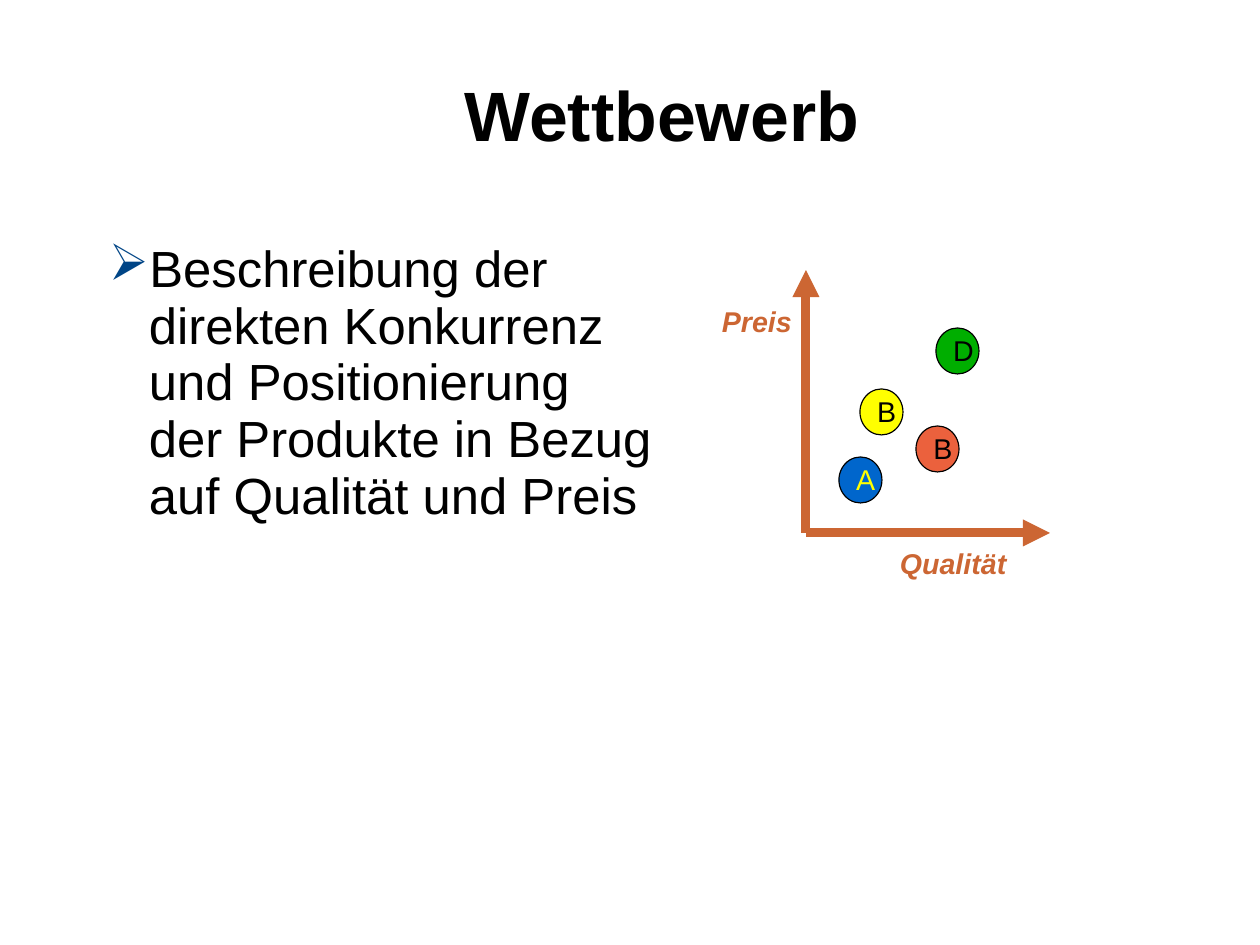
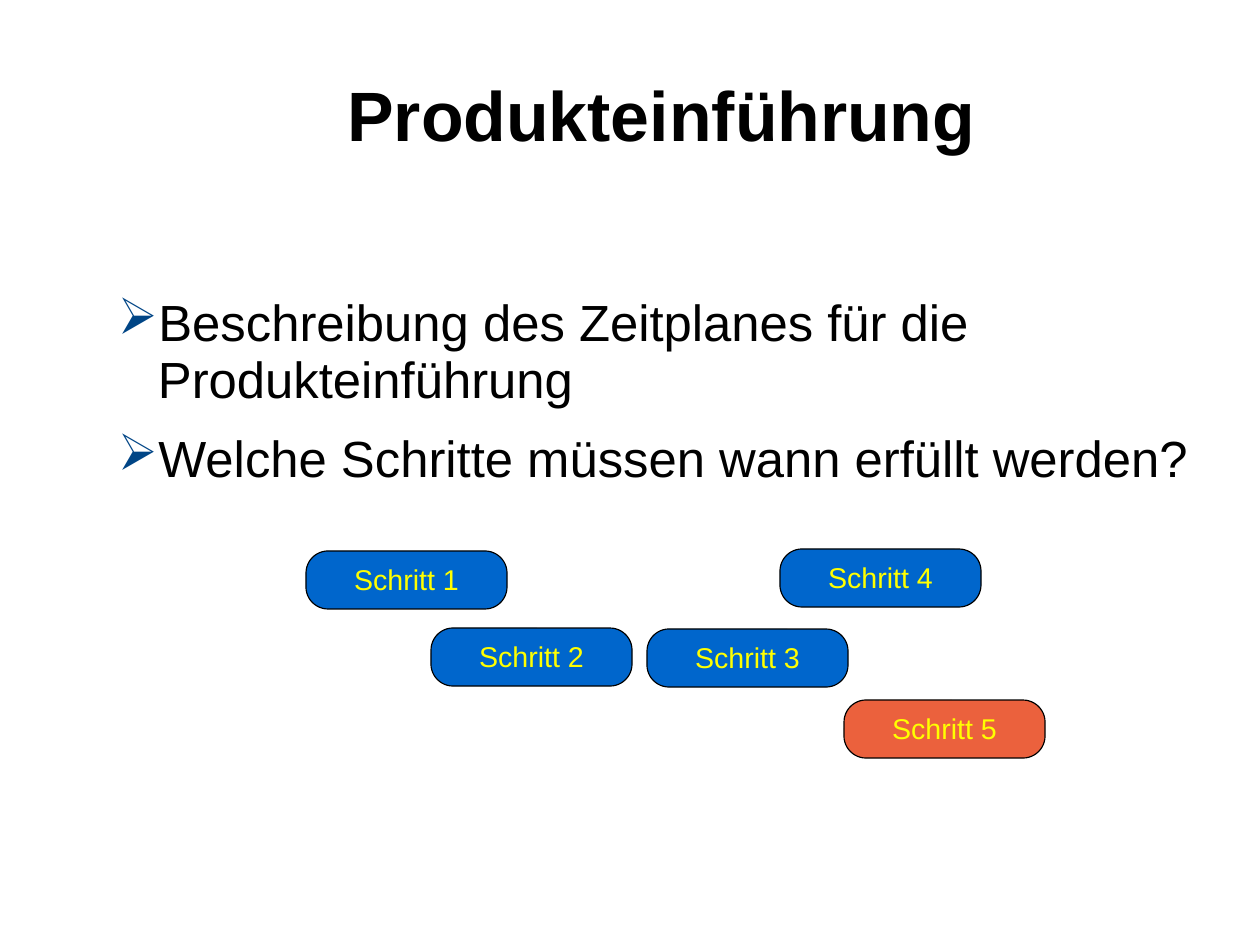
from lxml import etree
from pptx import Presentation
from pptx.dml.color import RGBColor
from pptx.enum import shapes, text
from pptx.oxml import ns
from pptx.util import Pt

PX = 8000
FONT = "Arial"
COLORS = {
    "black": "000000", "yellow": "FFFF00", "blue": "0066CC", "red": "EB613D",
    "green": "00AE00", "axis": "CC6633", "bullet": "004586",
}
PAGE_SIZE = (1260, 945)
TITLE_AREA = (95, 43, 1134, 146)
TITLE_INSETS = (0, 5, 0, 0)
BODY_INSETS = (0, 3, 0, 0)
LABEL_INSETS = (11, 8, 11, 6)
BODY_INDENT, BULLET_HANG = 54, 40

COMPETITION = {
    "title": "Wettbewerb",
    "area": (95, 239, 558, 613),
    "points": ["Beschreibung der direkten Konkurrenz und Positionierung "
               "der Produkte in Bezug auf Qualität und Preis"],
}
AXIS_ORIGIN = (806, 533)
AXIS_ENDS = [(806, 270), (1050, 533)]
AXIS_LABELS = [("Qualität", (889, 541, 168, 54)), ("Preis", (711, 299, 100, 54))]
PRODUCT_SIZE = (43, 46)
PRODUCTS = [
    ("A", (839, 457), "blue", "yellow"),
    ("B", (860, 389), "yellow", "black"),
    ("B", (916, 426), "red", "black"),
    ("D", (936, 328), "green", "black"),
]

LAUNCH = {
    "title": "Produkteinführung",
    "area": (104, 293, 1134, 557),
    "points": ["Beschreibung des Zeitplanes für die Produkteinführung",
               "Welche Schritte müssen wann erfüllt werden?"],
}
STEP_SIZE = (201, 58)
STEPS = [
    ((306, 551), "blue"), ((431, 628), "blue"), ((647, 629), "blue"),
    ((780, 549), "blue"), ((844, 700), "red"),
]


def px(*values):
    return [value * PX for value in values]


def color(name):
    return RGBColor.from_string(COLORS[name])


def write(box, lines, size, ink="black", insets=LABEL_INSETS, centered=False,
          middle=False, bold=False, italic=False):
    frame = box.text_frame
    frame.word_wrap = True
    frame.margin_left, frame.margin_top, frame.margin_right, frame.margin_bottom = px(*insets)
    frame.vertical_anchor = text.MSO_ANCHOR.MIDDLE if middle else text.MSO_ANCHOR.TOP
    frame.text = "\n".join(lines)
    for para in frame.paragraphs:
        para.alignment = text.PP_ALIGN.CENTER if centered else text.PP_ALIGN.LEFT
        para.line_spacing = 0.93
        font = para.font
        font.name, font.size, font.bold, font.italic = FONT, Pt(size), bold, italic
        font.color.rgb = color(ink)
    return frame.paragraphs


def add_bullet(para):
    para.space_after = Pt(14.3)
    props = para._p.get_or_add_pPr()
    props.set("marL", str(BODY_INDENT * PX))
    props.set("indent", str(-BULLET_HANG * PX))
    tint = etree.SubElement(props, ns.qn("a:buClr"))
    etree.SubElement(tint, ns.qn("a:srgbClr"), val=COLORS["bullet"])
    etree.SubElement(props, ns.qn("a:buChar"), char="➢")
    props.append(props.find(ns.qn("a:defRPr")))


def add_page(deck, content):
    page = deck.slides.add_slide(deck.slide_layouts[6])
    title = page.shapes.add_textbox(*px(*TITLE_AREA))
    write(title, [content["title"]], 44, insets=TITLE_INSETS,
          centered=True, middle=True, bold=True)
    body = page.shapes.add_textbox(*px(*content["area"]))
    for para in write(body, content["points"], 32, insets=BODY_INSETS):
        add_bullet(para)
    return page


def add_axis(page, end):
    axis = page.shapes.add_connector(shapes.MSO_CONNECTOR.STRAIGHT, *px(*AXIS_ORIGIN, *end))
    axis.line.color.rgb = color("axis")
    axis.line.width = Pt(5.67)
    etree.SubElement(axis.line._get_or_add_ln(), ns.qn("a:tailEnd"), type="triangle")
    etree.SubElement(axis._element.spPr, ns.qn("a:effectLst"))


def add_marker(page, kind, corner, size, fill, label, ink):
    marker = page.shapes.add_shape(kind, *px(*corner, *size))
    marker.shadow.inherit = False
    marker.fill.solid()
    marker.fill.fore_color.rgb = color(fill)
    marker.line.color.rgb = color("black")
    marker.line.width = Pt(0.75)
    write(marker, [label], 18, ink, centered=True, middle=True)
    return marker


def build_competition(deck):
    page = add_page(deck, COMPETITION)
    for end in AXIS_ENDS:
        add_axis(page, end)
    for label, area in AXIS_LABELS:
        box = page.shapes.add_textbox(*px(*area))
        write(box, [label], 18, "axis", bold=True, italic=True)
    for label, corner, fill, ink in PRODUCTS:
        add_marker(page, shapes.MSO_SHAPE.OVAL, corner, PRODUCT_SIZE, fill, label, ink)


def build_launch(deck):
    page = add_page(deck, LAUNCH)
    for number, (corner, fill) in enumerate(STEPS, 1):
        step = add_marker(page, shapes.MSO_SHAPE.ROUNDED_RECTANGLE, corner, STEP_SIZE,
                          fill, f"Schritt {number}", "yellow")
        step.adjustments[0] = 0.38


def main():
    deck = Presentation()
    deck.slide_width, deck.slide_height = px(*PAGE_SIZE)
    build_competition(deck)
    build_launch(deck)
    deck.save("out.pptx")


if __name__ == "__main__":
    main()
